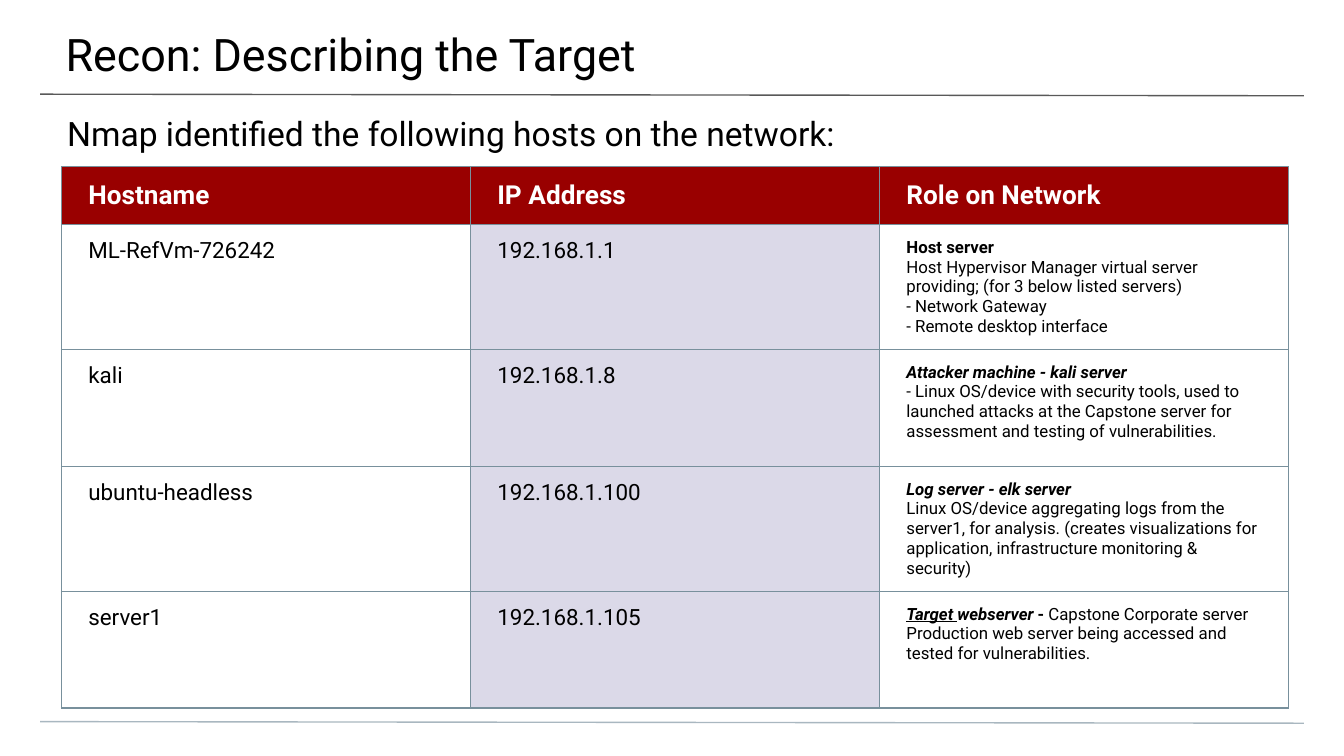
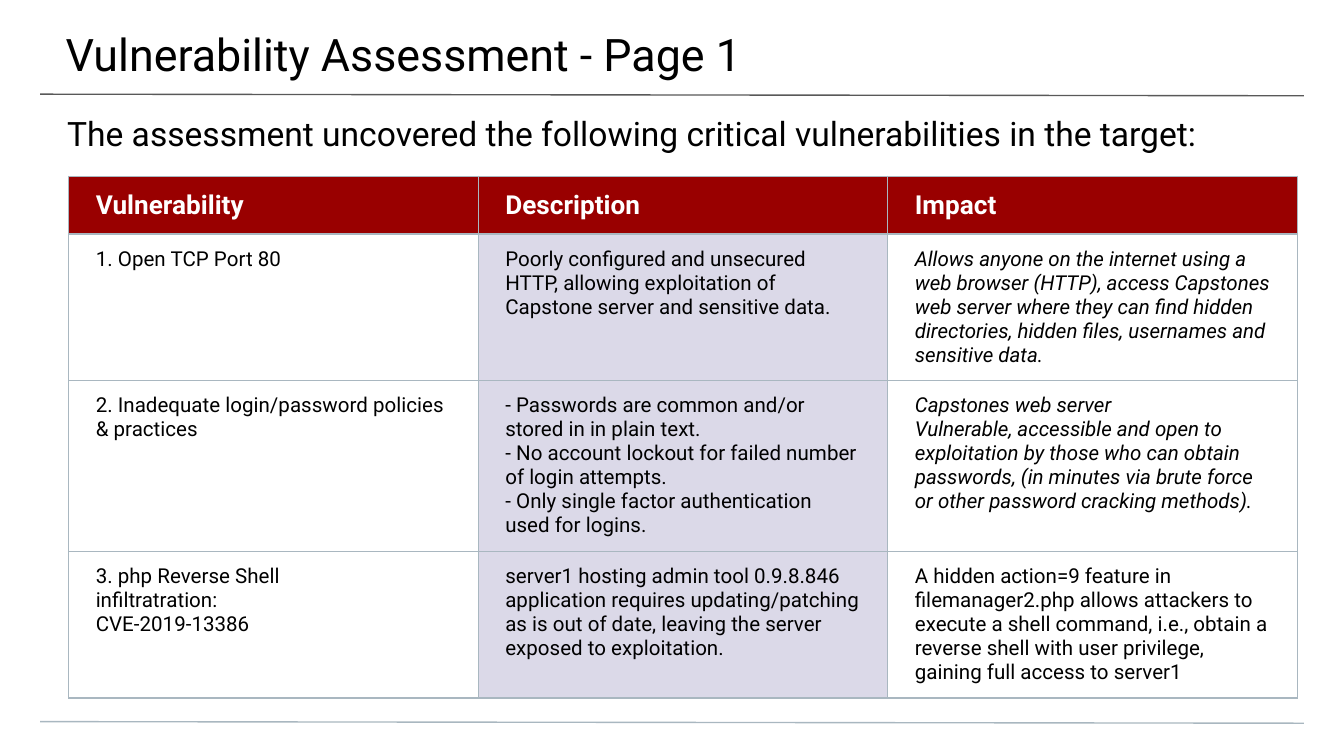
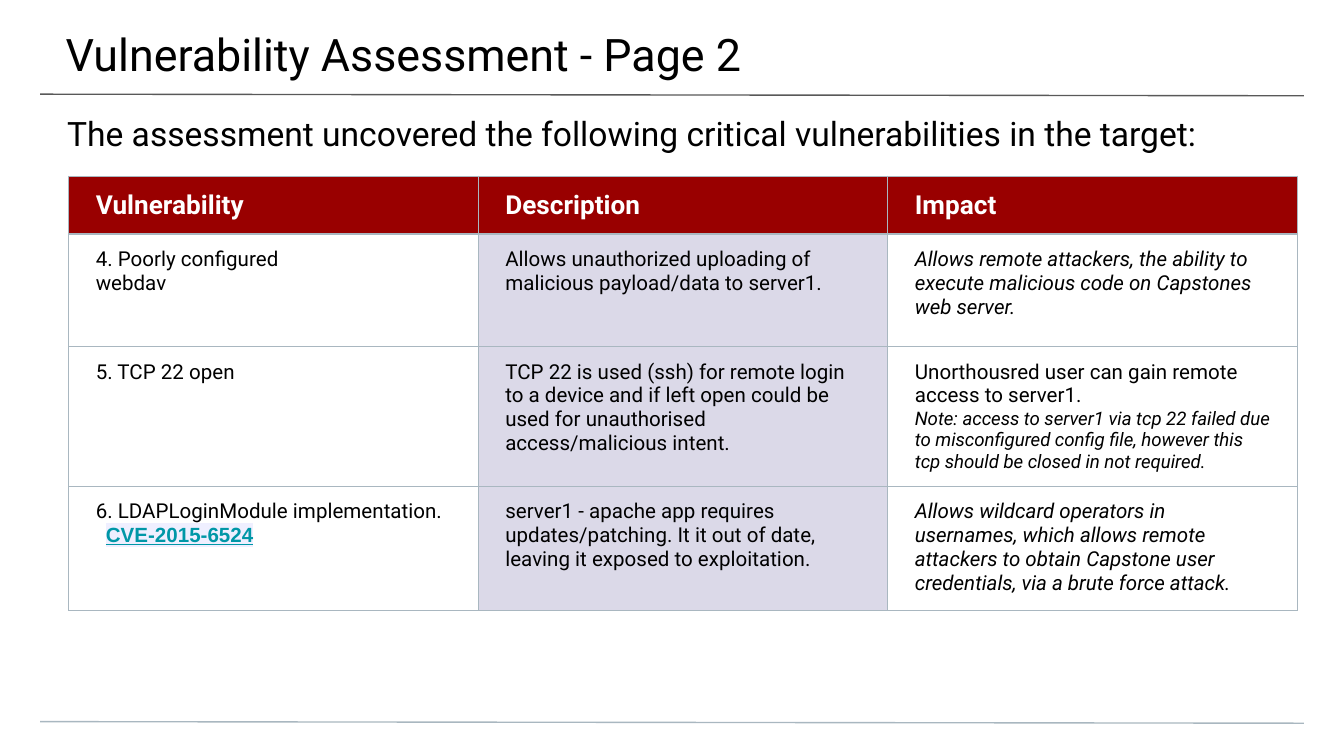
import pptx
import pptx.dml.color
import pptx.enum.shapes
import pptx.enum.text
import pptx.oxml
import pptx.oxml.ns
import pptx.util
from lxml import etree

Cm = pptx.util.Cm

BLACK, WHITE, RED, LILAC = "000000", "FFFFFF", "990000", "DBD9E8"
GREY, PALE_BLUE, SLATE, TEAL = "595959", "A9B7C0", "78909C", "0097A7"
BODY_FONT = "Roboto"
HEADER_MARGINS = (0.51, 0.25, 0.51, 0.25)
CELL_MARGINS = (0.51, 0.25, 0.51, 0.18)
HEADER_HEIGHT = 1.09

BOLD = {"bold": True}
ITALIC = {"italic": True}
BOLD_ITALIC = BOLD | ITALIC
NOTE = {"italic": True, "size": 10}
CVE_LINK = {"font": "Arial", "color": TEAL, "bold": True, "underline": True,
            "highlight": "EFEFFF", "indent": 0.19}

HOST_TABLE = {"left": 1.16, "top": 3.15, "column": 7.73, "border": SLATE, "sizes": (12, 12, 9)}
VULNERABILITY_TABLE = {"left": 1.3, "top": 3.33, "column": 7.74, "border": PALE_BLUE,
                       "sizes": (11, 11, 11)}
VULNERABILITY_HEADER = ("Vulnerability", "Description", "Impact")
VULNERABILITY_SUBTITLE = (
    "The assessment uncovered the following critical vulnerabilities in the target:")

# A cell is a string or a list of paragraphs; a paragraph is a string or a list of
# runs; a run is a (text, format) pair.
SLIDES = [
    {
        "title": "Recon: Describing the Target",
        "subtitle": "Nmap identified the following hosts on the network:",
        "table": HOST_TABLE,
        "header": ("Hostname", "IP Address", "Role on Network"),
        "heights": (2.36, 2.21, 2.36, 2.21),
        "rows": [
            ("ML-RefVm-726242", "192.168.1.1", [
                [("Host server", BOLD)],
                "Host Hypervisor Manager virtual server providing; (for 3 below listed servers)",
                "- Network Gateway",
                "- Remote desktop interface"]),
            ("kali", "192.168.1.8", [
                [("Attacker machine - kali server", BOLD_ITALIC)],
                "- Linux OS/device with security tools, used to launched attacks at the "
                "Capstone server for assessment and testing of vulnerabilities."]),
            ("ubuntu-headless", "192.168.1.100", [
                [("Log server - elk server", BOLD_ITALIC)],
                "Linux OS/device aggregating logs from the server1, for analysis. (creates "
                "visualizations for application, infrastructure monitoring & security)"]),
            ("server1", "192.168.1.105", [
                [("Target ", BOLD_ITALIC | {"underline": True}), ("webserver", BOLD_ITALIC),
                 (" - ", BOLD), ("Capstone Corporate server", {})],
                "Production web server being accessed and tested for vulnerabilities."]),
        ],
    },
    {
        "title": "Vulnerability Assessment - Page 1",
        "subtitle": VULNERABILITY_SUBTITLE,
        "table": VULNERABILITY_TABLE,
        "header": VULNERABILITY_HEADER,
        "heights": (2.77, 3.23, 2.77),
        "rows": [
            ("1. Open TCP Port 80",
             "Poorly configured and unsecured HTTP, allowing exploitation of Capstone server "
             "and sensitive data.",
             [[("Allows anyone on the internet using a web browser (HTTP), access Capstones "
                "web server where they can find hidden directories, hidden files, usernames "
                "and sensitive data.", ITALIC)]]),
            ("2. Inadequate login/password policies & practices",
             ["- Passwords are common and/or stored in in plain text.",
              "- No account lockout for failed number of login attempts.",
              "- Only single factor authentication used for logins."],
             [[("Capstones web server", ITALIC)],
              [("Vulnerable, accessible and open to exploitation by those who can obtain "
                "passwords, (in minutes via brute force or other password cracking methods).",
                ITALIC)]]),
            (["3. php Reverse Shell", "infiltratration:", "CVE-2019-13386"],
             "server1 hosting admin tool 0.9.8.846 application requires updating/patching as is "
             "out of date, leaving the server exposed to exploitation.",
             "A hidden action=9 feature in filemanager2.php allows attackers to execute a "
             "shell command, i.e., obtain a reverse shell with user privilege, gaining full "
             "access to server1"),
        ],
    },
    {
        "title": "Vulnerability Assessment - Page 2",
        "subtitle": VULNERABILITY_SUBTITLE,
        "table": VULNERABILITY_TABLE,
        "header": VULNERABILITY_HEADER,
        "heights": (2.13, 2.64, 2.34),
        "rows": [
            (["4. Poorly configured", "webdav"],
             "Allows unauthorized uploading of malicious payload/data to server1.",
             [[("Allows remote attackers, the ability to execute malicious code on Capstones "
                "web server.", ITALIC)]]),
            ("5. TCP 22 open",
             "TCP 22 is used (ssh) for remote login to a device and if left open could be used "
             "for unauthorised access/malicious intent.",
             ["Unorthousred user can gain remote access to server1.",
              [("Note: access to server1 via tcp 22 failed due to misconfigured config file, "
                "however this tcp should be closed in not required.", NOTE)]]),
            (["6. LDAPLoginModule implementation.", [("CVE-2015-6524", CVE_LINK)]],
             "server1 - apache app requires updates/patching. It it out of date, leaving it "
             "exposed to exploitation.",
             [[("Allows wildcard operators in usernames, which allows remote attackers to "
                "obtain Capstone user credentials, via a brute force attack.", ITALIC)]]),
        ],
    },
]


def rgb(color):
    return pptx.dml.color.RGBColor.from_string(color)


def add_color(parent, tag, color):
    element = etree.SubElement(parent, pptx.oxml.ns.qn(tag))
    etree.SubElement(element, pptx.oxml.ns.qn("a:srgbClr"), val=color)
    return element


def format_run(run, size, color=BLACK, font=BODY_FONT, bold=False, italic=False,
               underline=False, highlight=None):
    run.font.size = pptx.util.Pt(size)
    run.font.name = font
    run.font.bold, run.font.italic, run.font.underline = bold, italic, underline
    run.font.color.rgb = rgb(color)
    if highlight:
        properties = run._r.get_or_add_rPr()
        fill = properties.find(pptx.oxml.ns.qn("a:solidFill"))
        fill.addnext(add_color(properties, "a:highlight", highlight))


def write_text(frame, text, **style):
    """Fill a text frame; a run's own format overrides the shared style."""
    paragraphs = [text] if isinstance(text, str) else text
    for number, runs in enumerate(paragraphs):
        paragraph = frame.add_paragraph() if number else frame.paragraphs[0]
        for words, own in [(runs, {})] if isinstance(runs, str) else runs:
            merged = style | own
            indent = merged.pop("indent", None)
            if indent:
                paragraph._p.get_or_add_pPr().set("marL", str(Cm(indent)))
            run = paragraph.add_run()
            run.text = words
            format_run(run, **merged)


def set_margins(holder, margins):
    (holder.margin_left, holder.margin_top,
     holder.margin_right, holder.margin_bottom) = map(Cm, margins)


def add_text(slide, text, box, margins, **style):
    frame = slide.shapes.add_textbox(*map(Cm, box)).text_frame
    frame.word_wrap = True
    set_margins(frame, margins)
    write_text(frame, text, **style)


def add_rule(slide, top, color):
    """Draw a full-width line that falls very slightly to the right."""
    rule = slide.shapes.add_connector(pptx.enum.shapes.MSO_CONNECTOR.STRAIGHT,
                                      Cm(0.76), Cm(top), Cm(24.64), Cm(top + 0.03))
    rule.line.color.rgb = rgb(color)
    rule.line.width = pptx.util.Pt(0.75)
    etree.SubElement(rule._element.spPr, pptx.oxml.ns.qn("a:effectLst"))


def set_borders(cell, color):
    properties = cell._tc.get_or_add_tcPr()
    for position, side in enumerate(("a:lnL", "a:lnR", "a:lnT", "a:lnB")):
        border = etree.Element(pptx.oxml.ns.qn(side), w=str(pptx.util.Pt(0.75)))
        add_color(border, "a:solidFill", color)
        properties.insert(position, border)


def fill_cell(cell, text, fill, border, margins, **style):
    set_margins(cell, margins)
    if fill:
        cell.fill.solid()
        cell.fill.fore_color.rgb = rgb(fill)
    else:
        cell.fill.background()
    set_borders(cell, border)
    write_text(cell.text_frame, text, **style)


def add_findings(slide, content):
    layout = content["table"]
    heights = (HEADER_HEIGHT, *content["heights"])
    columns = len(content["header"])
    table = slide.shapes.add_table(
        len(heights), columns, Cm(layout["left"]), Cm(layout["top"]),
        Cm(layout["column"] * columns), Cm(sum(heights))).table
    table.first_row = table.horz_banding = False
    for row, height in zip(table.rows, heights):
        row.height = Cm(height)
    for number, heading in enumerate(content["header"]):
        table.columns[number].width = Cm(layout["column"])
        cell = table.cell(0, number)
        cell.vertical_anchor = pptx.enum.text.MSO_ANCHOR.MIDDLE
        fill_cell(cell, heading, RED, layout["border"], HEADER_MARGINS,
                  size=14, color=WHITE, bold=True)
    for row, findings in enumerate(content["rows"], 1):
        for number, (text, size) in enumerate(zip(findings, layout["sizes"])):
            fill_cell(table.cell(row, number), text, LILAC if number == 1 else None,
                      layout["border"], CELL_MARGINS, size=size)


def add_slide(deck, content):
    slide = deck.slides.add_slide(deck.slide_layouts[6])
    add_rule(slide, 1.78, GREY)
    add_rule(slide, 13.64, PALE_BLUE)
    add_text(slide, content["title"], (-0.03, 0, 25.47, 1.47), (1.27, 0.51, 0.76, 0.25), size=24)
    add_text(slide, content["subtitle"], (0, 1.88, 25.4, 1.02), (1.27, 0.25, 1.27, 0), size=18)
    add_findings(slide, content)


def main():
    deck = pptx.Presentation()
    deck.slide_width, deck.slide_height = Cm(25.4), Cm(14.29)
    for content in SLIDES:
        add_slide(deck, content)
    deck.save("out.pptx")


if __name__ == "__main__":
    main()
